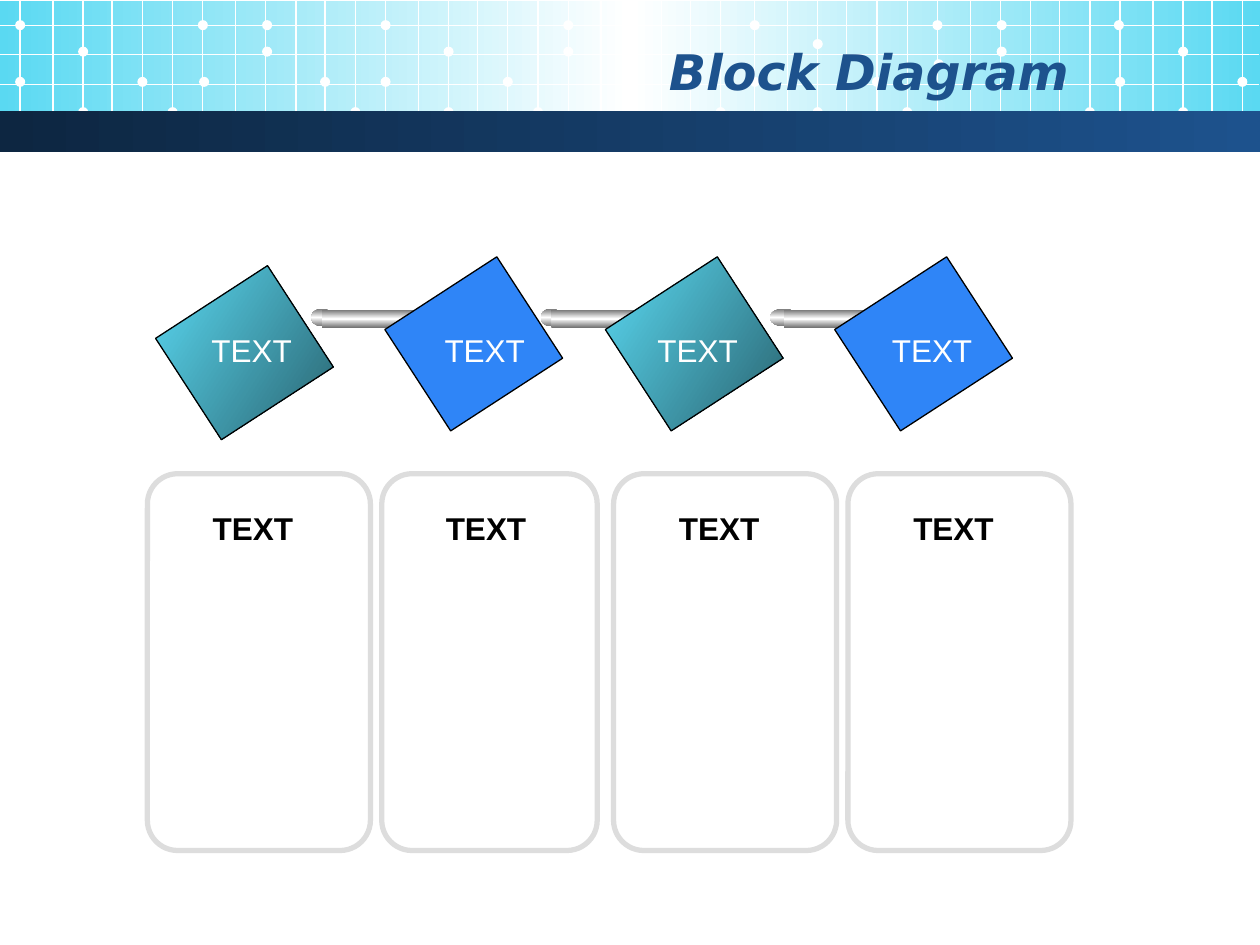
from lxml import etree
from pptx import Presentation
from pptx.dml.color import RGBColor
from pptx.enum.shapes import MSO_CONNECTOR, MSO_SHAPE
from pptx.enum.text import MSO_ANCHOR, MSO_AUTO_SIZE, PP_ALIGN
from pptx.oxml import parse_xml
from pptx.oxml.ns import nsdecls, qn
from pptx.util import Inches, Pt

COLORS = {"white": "FFFFFF", "black": "000000", "cyan": "5AD9F2", "teal": "2A6470",
          "blue": "2F85F7", "navy": "0D2641", "title": "1D528D", "frame": "DDDDDD",
          "metal": "767676"}
METAL = ["metal", "white", "metal"]

prs = Presentation()
prs.slide_width, prs.slide_height = Inches(10), Inches(7.5)
slide = prs.slides.add_slide(prs.slide_layouts[6])


def add_block(preset, box, fill=None, angle=0, line=None, width=0.75):
    block = slide.shapes.add_shape(preset, *[Inches(v) for v in box])
    block.shadow.inherit = False
    if fill is None:
        block.fill.background()
    elif isinstance(fill, str):
        block.fill.solid()
        block.fill.fore_color.rgb = RGBColor.from_string(COLORS[fill])
    else:
        stops = "".join(
            f'<a:gs pos="{100000 * i // (len(fill) - 1)}"><a:srgbClr val="{COLORS[name]}"/></a:gs>'
            for i, name in enumerate(fill))
        block.fill.background()
        no_fill = block._element.spPr.find(qn("a:noFill"))
        no_fill.getparent().replace(no_fill, parse_xml(
            f'<a:gradFill {nsdecls("a")} rotWithShape="0"><a:gsLst>{stops}</a:gsLst>'
            f'<a:lin ang="{angle * 60000}" scaled="0"/></a:gradFill>'))
    if line:
        block.line.color.rgb = RGBColor.from_string(COLORS[line])
        block.line.width = Pt(width)
    else:
        block.line.fill.background()
    return block


def add_label(words, box, size, font, color, bold=False, italic=False):
    label = slide.shapes.add_textbox(*[Inches(v) for v in box])
    run = label.text_frame.paragraphs[0].add_run()
    run.text = words
    run.font.size, run.font.name = Pt(size), font
    run.font.bold, run.font.italic = bold, italic
    run.font.color.rgb = RGBColor.from_string(COLORS[color])
    return label.text_frame


add_block(MSO_SHAPE.RECTANGLE, (0, 0.01, 10, 1.02), ["cyan", "white", "cyan"])

dot_rows = {
    0.16: [0.12, 1.57, 2.08, 3.02, 4.47, 4.97, 5.95, 7.4, 7.91, 8.84],
    0.31: [6.45],
    0.37: [0.62, 2.08, 3.52, 4.47, 4.97, 7.91, 9.35],
    0.47: [7.41],
    0.61: [0.12, 1.09, 1.58, 2.54, 3.02, 3.99, 5.44, 5.95, 6.92, 8.37, 8.85, 9.82],
    0.85: [0.62, 1.33, 2.78, 3.52, 4.23, 5.68, 6.45, 7.16, 8.61, 9.35],
}
for top, lefts in dot_rows.items():
    for left in lefts:
        add_block(MSO_SHAPE.OVAL, (left, top, 0.08, 0.08), "white")

column_steps = [0, 0.26, 0.5, 0.73, 0.97, 1.21, 1.45, 1.71, 1.95, 2.19, 2.42, 2.66]
columns = [start + step for start in (0.16, 3.06, 5.99, 8.89) for step in column_steps]
grid_lines = [(x, 0, x, 1.1) for x in columns if x < 10]
grid_lines += [(0, y, 9.99, y) for y in (0.2, 0.43, 0.67, 0.89)]
for ends in grid_lines:
    grid_line = slide.shapes.add_connector(MSO_CONNECTOR.STRAIGHT, *[Inches(v) for v in ends])
    grid_line.line.color.rgb = RGBColor.from_string(COLORS["white"])
    grid_line.line.width = Pt(0.75)
    etree.SubElement(grid_line._element.spPr, qn("a:effectLst"))

add_block(MSO_SHAPE.RECTANGLE, (0, 0.88, 10, 0.33), ["navy", "title"])

title = add_label("Block Diagram", (0.5, 0.25, 8.08, 0.62), 28, "DejaVu Sans", "title", True, True)
title.word_wrap = True
title.vertical_anchor = MSO_ANCHOR.MIDDLE
title.paragraphs[0].alignment = PP_ALIGN.RIGHT

for left, width in [(6.73, 1.77), (4.87, 1.77), (3.03, 1.71), (1.17, 1.77)]:
    panel = add_block(MSO_SHAPE.ROUNDED_RECTANGLE, (left, 3.76, width, 2.99), line="frame", width=3)
    panel.adjustments[0] = 0.24 / width

diamonds = [(1.46, 2.27, ["cyan", "teal"]), (3.28, 2.2, "blue"),
            (5.03, 2.2, ["cyan", "teal"]), (6.85, 2.2, "blue")]
rods = [(2.47, 0.17, 0.82), (4.29, 0.17, 0.82), (6.11, 0.22, 1.07)]
for i, (left, top, fill) in enumerate(diamonds):
    diamond = add_block(MSO_SHAPE.RECTANGLE, (left, top, 0.96, 1.06), fill, 33, "black")
    diamond.rotation = 57
    if i < len(rods):
        rod_left, cap, length = rods[i]
        add_block(MSO_SHAPE.OVAL, (rod_left, 2.45, cap, 0.14), METAL, 90)
        add_block(MSO_SHAPE.RECTANGLE, (rod_left + cap / 2, 2.46, length, 0.14), METAL, 90)

label_rows = [(2.58, [1.58, 3.43, 5.12, 6.98], "white", False),
              (3.99, [1.59, 3.44, 5.29, 7.15], "black", True)]
for top, lefts, color, bold in label_rows:
    for left in lefts:
        frame = add_label("TEXT", (left, top, 0.84, 0.4), 18, "Arial", color, bold)
        frame.word_wrap = False
        frame.auto_size = MSO_AUTO_SIZE.SHAPE_TO_FIT_TEXT

prs.save("out.pptx")
